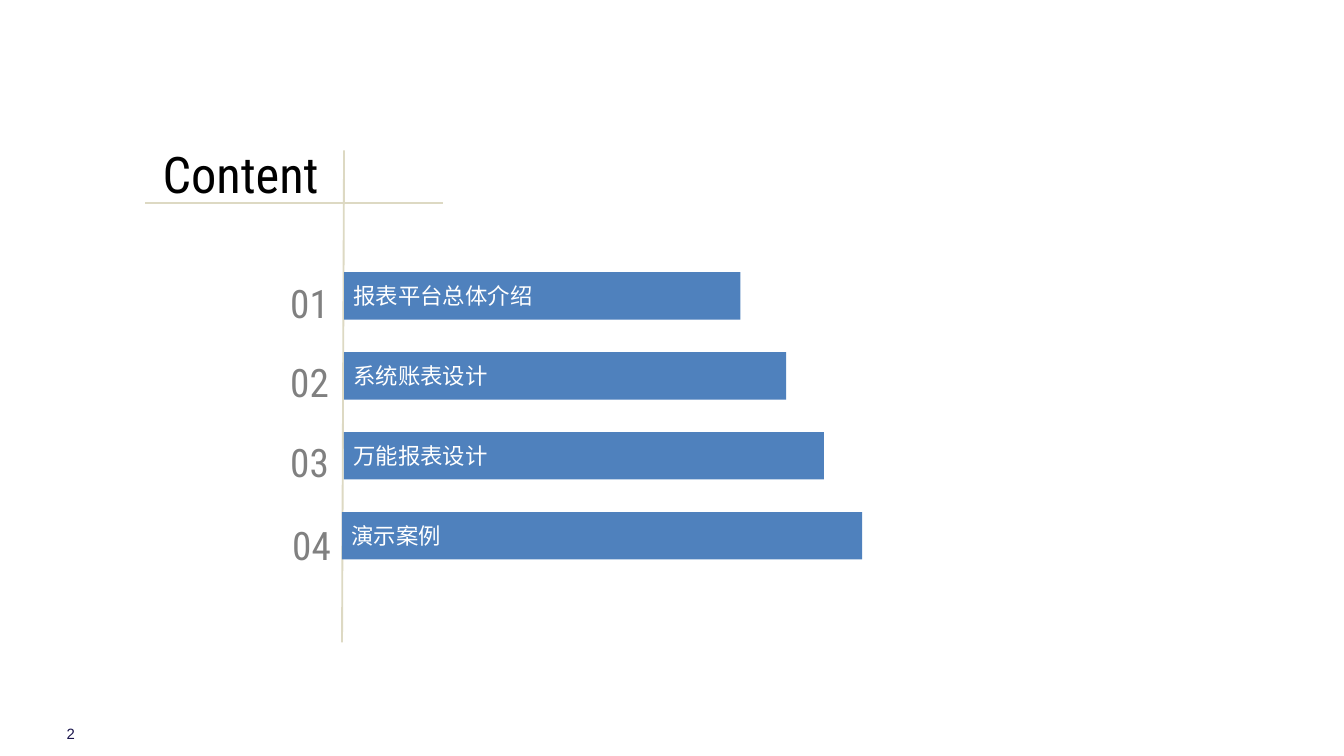
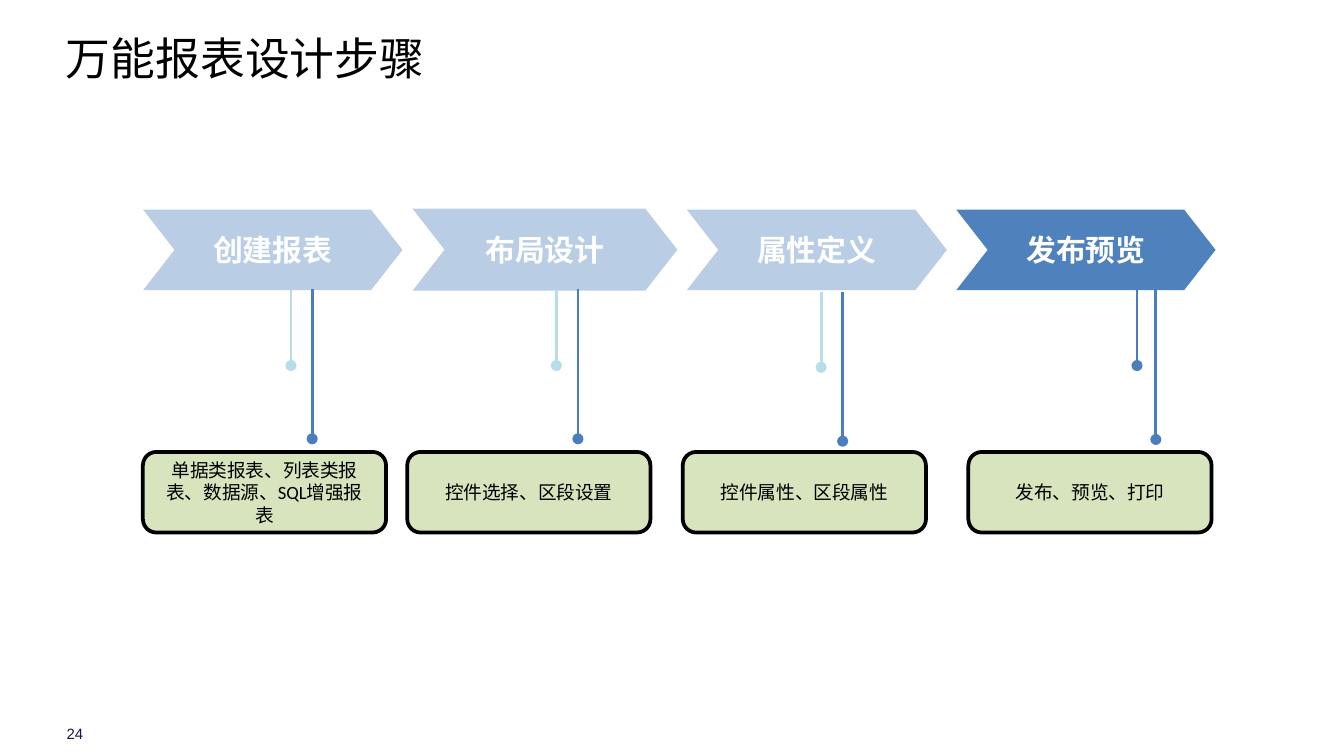
import dataclasses
import typing

import lxml.etree
import pptx
import pptx.dml.color
import pptx.enum.shapes
import pptx.enum.text
import pptx.oxml.ns
import pptx.presentation
import pptx.shapes.autoshape
import pptx.shapes.connector
import pptx.slide
import pptx.text.text
import pptx.util

WIDTH = pptx.util.Inches(10)
HEIGHT = pptx.util.Emu(WIDTH * 9 // 16)
GRID_COLUMNS = 100
UNIT = WIDTH / GRID_COLUMNS

COLORS = {
    "ink": "000000",
    "white": "FFFFFF",
    "footer": "1A154C",
    "rule": "DDD9C3",
    "number": "808080",
    "blue": "4F81BD",
    "pale_blue": "B9CDE5",
    "pin": "4B7EBC",
    "pale_pin": "B7DEE8",
    "green": "D7E4BD",
}

SHAPES = pptx.enum.shapes.MSO_SHAPE
ALIGN = pptx.enum.text.PP_ALIGN
ANCHOR = pptx.enum.text.MSO_ANCHOR
FIT = pptx.enum.text.MSO_AUTO_SIZE


class Box(typing.NamedTuple):
    col: float
    row: float
    cols: float
    rows: float


@dataclasses.dataclass(frozen=True)
class TextStyle:
    size: float
    font: str
    color: str
    bold: bool = False
    align: ALIGN = ALIGN.LEFT
    anchor: ANCHOR = ANCHOR.TOP
    inset: tuple[float, float] = (1, 0.5)
    spacing: float = 1.0
    wrap: bool = True
    fit: FIT = FIT.NONE


class AgendaItem(typing.NamedTuple):
    number: str
    label: str
    bar_col: float
    bar_cols: float
    number_box: Box


class Pin(typing.NamedTuple):
    col: float
    top: float
    bottom: float
    color: str


class Step(typing.NamedTuple):
    title: str
    arrow: Box
    fill: str
    detail: str
    detail_col: float
    pins: tuple[Pin, Pin]


FOOTER = TextStyle(8, "Arial", "footer", anchor=ANCHOR.MIDDLE, inset=(0, 0),
                   fit=FIT.SHAPE_TO_FIT_TEXT)
CONTENT_TITLE = TextStyle(27, "Roboto Condensed", "ink")
SLIDE_TITLE = TextStyle(24, "Noto Sans CJK SC", "ink", inset=(0, 0))
NUMBER = TextStyle(21, "Roboto Condensed", "number", align=ALIGN.RIGHT,
                   spacing=1.2, fit=FIT.SHAPE_TO_FIT_TEXT)
BAR = TextStyle(12, "Arial", "white", anchor=ANCHOR.MIDDLE, inset=(0.7, 0.4))
ARROW = TextStyle(16, "Arial", "white", True, ALIGN.CENTER, ANCHOR.MIDDLE, wrap=False)
DETAIL = TextStyle(10, "Calibri", "ink", align=ALIGN.CENTER, anchor=ANCHOR.MIDDLE)

BAR_TOP, BAR_PITCH, BAR_ROWS = 20.25, 5.95, 3.53
DETAIL_TOP, DETAIL_COLS, DETAIL_ROWS = 33.63, 18.1, 6

AGENDA = (
    AgendaItem("01", "报表平台总体介绍", 25.6, 29.5, Box(19.65, 19.6, 5.8, 5.3)),
    AgendaItem("02", "系统账表设计", 25.6, 32.9, Box(19.65, 25.5, 5.8, 5.3)),
    AgendaItem("03", "万能报表设计", 25.6, 35.7, Box(19.65, 31.45, 5.8, 5.3)),
    AgendaItem("04", "演示案例", 25.45, 38.7, Box(19.8, 37.6, 5.8, 4.8)),
)

STEPS = (
    Step("创建报表", Box(10.65, 15.6, 19.3, 6), "pale_blue",
         "单据类报表、列表类报表、数据源、SQL增强报表", 10.63,
         (Pin(21.65, 21.6, 27.2, "pale_pin"), Pin(23.23, 21.5, 32.65, "pin"))),
    Step("布局设计", Box(30.7, 15.53, 19.7, 6.1), "pale_blue",
         "控件选择、区段设置", 30.3,
         (Pin(41.4, 21.6, 27.2, "pale_pin"), Pin(43, 21.5, 32.65, "pin"))),
    Step("属性定义", Box(51.1, 15.6, 19.35, 6), "pale_blue",
         "控件属性、区段属性", 50.8,
         (Pin(61.1, 21.7, 27.33, "pale_pin"), Pin(62.7, 21.7, 32.83, "pin"))),
    Step("发布预览", Box(71.15, 15.6, 19.3, 6), "blue",
         "发布、预览、打印", 72.05,
         (Pin(84.6, 21.6, 27.2, "pin"), Pin(86, 21.6, 32.7, "pin"))),
)


def grid(value: float) -> pptx.util.Emu:
    return pptx.util.Emu(round(value * UNIT))


def rgb(name: str) -> pptx.dml.color.RGBColor:
    return pptx.dml.color.RGBColor.from_string(COLORS[name])


def write(tf: pptx.text.text.TextFrame, text: str, style: TextStyle) -> None:
    tf.word_wrap = style.wrap
    tf.auto_size = style.fit
    tf.vertical_anchor = style.anchor
    tf.margin_left = tf.margin_right = grid(style.inset[0])
    tf.margin_top = tf.margin_bottom = grid(style.inset[1])
    p = tf.paragraphs[0]
    p._p.get_or_add_pPr().set("hangingPunct", "0")
    p.alignment = style.align
    p.line_spacing = style.spacing
    p.space_before = pptx.util.Pt(0)
    r = p.add_run()
    r.text = text
    r.font.size = pptx.util.Pt(style.size)
    r.font.bold = style.bold
    r.font.color.rgb = rgb(style.color)
    r.font.name = style.font


def add_text(s: pptx.slide.Slide, box: Box, text: str, style: TextStyle) -> None:
    sp = s.shapes.add_textbox(*map(grid, box))
    write(sp.text_frame, text, style)


def add_shape(s: pptx.slide.Slide, kind: SHAPES, box: Box, fill: str, text: str,
              style: TextStyle) -> pptx.shapes.autoshape.Shape:
    sp = s.shapes.add_shape(kind, *map(grid, box))
    sp.shadow.inherit = False
    sp.fill.solid()
    sp.fill.fore_color.rgb = rgb(fill)
    sp.line.fill.background()
    write(sp.text_frame, text, style)
    return sp


def add_line(s: pptx.slide.Slide, start: tuple[float, float], end: tuple[float, float],
             color: str, width: float) -> pptx.shapes.connector.Connector:
    line = s.shapes.add_connector(pptx.enum.shapes.MSO_CONNECTOR.STRAIGHT,
                                  *map(grid, start + end))
    line.line.color.rgb = rgb(color)
    line.line.width = pptx.util.Pt(width)
    lxml.etree.SubElement(line._element.spPr, pptx.oxml.ns.qn("a:effectLst"))
    return line


def add_pin(s: pptx.slide.Slide, pin: Pin) -> None:
    line = add_line(s, (pin.col, pin.top), (pin.col, pin.bottom), pin.color, 1.5)
    ln = line.line._get_or_add_ln()
    lxml.etree.SubElement(ln, pptx.oxml.ns.qn("a:tailEnd"), type="oval")


def add_slide(prs: pptx.presentation.Presentation, number: str, title: str,
              box: Box, style: TextStyle) -> pptx.slide.Slide:
    s = prs.slides.add_slide(prs.slide_layouts[5])
    s.background.fill.solid()
    s.background.fill.fore_color.rgb = rgb("white")
    sp = s.shapes.title
    sp.left, sp.top, sp.width, sp.height = map(grid, box)
    write(sp.text_frame, title, style)
    add_text(s, Box(4.95, 53.9, 2.5, 1.4), number, FOOTER)
    return s


def build_agenda(prs: pptx.presentation.Presentation) -> None:
    s = add_slide(prs, "2", "Content", Box(11.1, 10.15, 20.4, 4.4), CONTENT_TITLE)
    add_line(s, (25.6, 11.2), (25.45, 47.8), "rule", 1)
    add_line(s, (10.8, 15.1), (32.95, 15.1), "rule", 1)
    for i, item in enumerate(AGENDA):
        add_text(s, item.number_box, item.number, NUMBER)
        bar = Box(item.bar_col, BAR_TOP + i * BAR_PITCH, item.bar_cols, BAR_ROWS)
        add_shape(s, SHAPES.RECTANGLE, bar, "blue", item.label, BAR)


def build_steps(prs: pptx.presentation.Presentation) -> None:
    s = add_slide(prs, "24", "万能报表设计步骤", Box(4.9, 2.3, 91.9, 5.7), SLIDE_TITLE)
    for step in STEPS:
        arrow = add_shape(s, SHAPES.CHEVRON, step.arrow, step.fill, step.title, ARROW)
        arrow.adjustments[0] = 0.39
        for pin in step.pins:
            add_pin(s, pin)
        box = Box(step.detail_col, DETAIL_TOP, DETAIL_COLS, DETAIL_ROWS)
        detail = add_shape(s, SHAPES.ROUNDED_RECTANGLE, box, "green", step.detail, DETAIL)
        detail.line.color.rgb = rgb("ink")
        detail.line.width = pptx.util.Pt(2)


def main() -> None:
    prs = pptx.Presentation()
    prs.slide_width, prs.slide_height = WIDTH, HEIGHT
    build_agenda(prs)
    build_steps(prs)
    prs.save("out.pptx")


if __name__ == "__main__":
    main()
